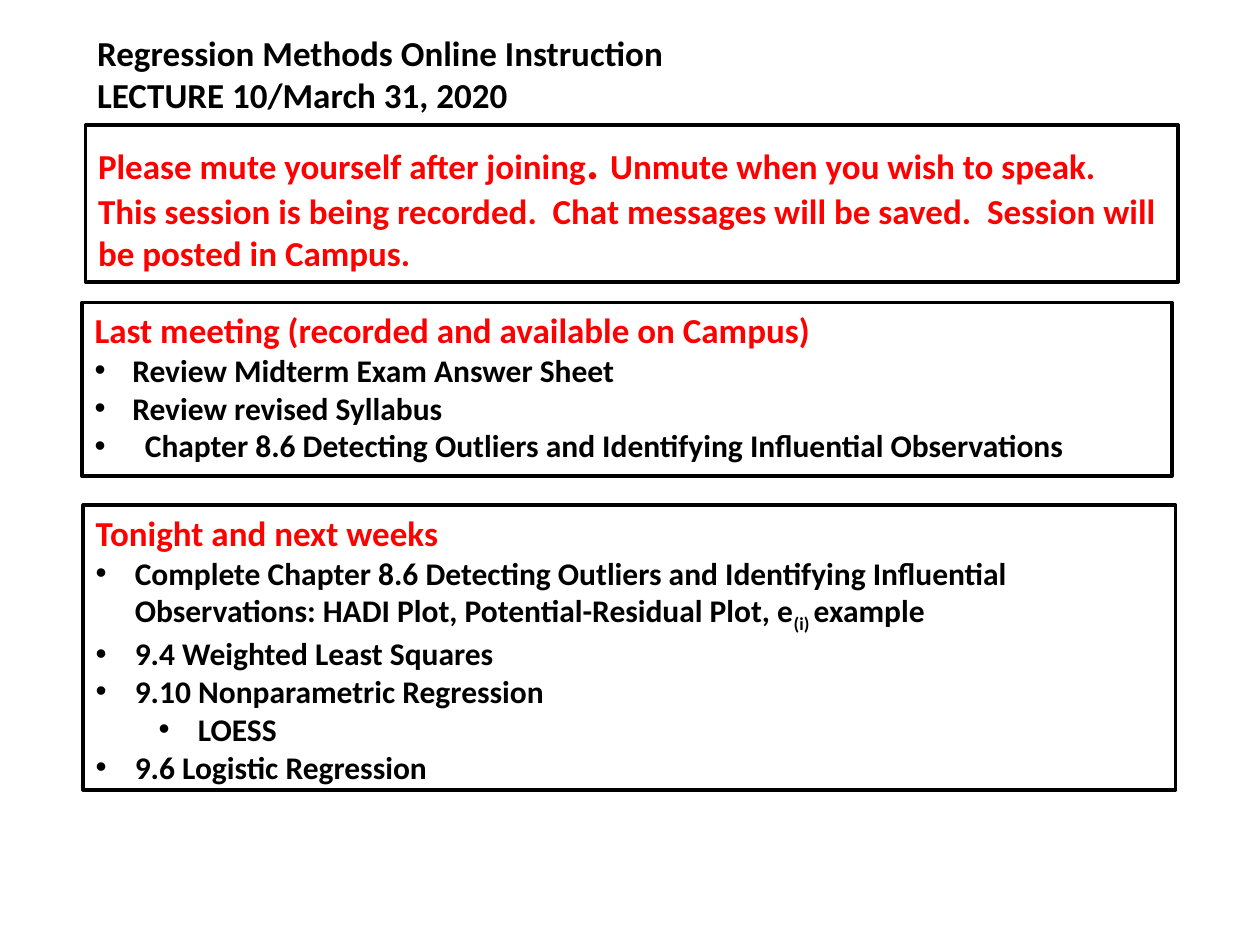
from lxml.etree import SubElement
from pptx import Presentation
from pptx.dml.color import RGBColor
from pptx.enum.shapes import MSO_SHAPE as Shape
from pptx.enum.text import MSO_ANCHOR as Anchor, MSO_AUTO_SIZE as Fit, PP_ALIGN as Align
from pptx.oxml.ns import qn
from pptx.util import Inches, Pt

BLACK, RED, WHITE = "000000", "FF0000", "FFFFFF"


def rgb(code):
    return RGBColor.from_string(code)


def place(shape, box):
    shape.left, shape.top, shape.width, shape.height = map(Inches, box)
    frame = shape.text_frame
    frame.word_wrap = True
    frame.auto_size = Fit.NONE
    frame.vertical_anchor = Anchor.TOP
    return frame


def outline(shape):
    shape.fill.solid()
    shape.fill.fore_color.rgb = rgb(WHITE)
    shape.line.color.rgb = rgb(BLACK)
    shape.line.width = Pt(2)


def bullet(para, indent, hang):
    """Set a hanging bullet, or none when hang is 0."""
    props = para._p.get_or_add_pPr()
    props.set("marL", str(Inches(indent)))
    props.set("indent", str(-Inches(hang)))
    if hang:
        SubElement(props, qn("a:buFont"), typeface="Arial")
        SubElement(props, qn("a:buChar"), char="•")
    else:
        SubElement(props, qn("a:buNone"))


def style(para, size, color):
    para.alignment = Align.LEFT
    para.space_before = Pt(0)
    font = para.font
    font.name, font.size, font.bold = "Calibri", Pt(size), True
    font.color.rgb = rgb(color)


def lines(frame, count):
    """Return the frame's paragraphs, extended to count."""
    for _ in range(count - 1):
        frame.add_paragraph()
    return frame.paragraphs


def heading(shape, box, texts):
    frame = place(shape, box)
    for para, text in zip(lines(frame, len(texts)), texts):
        style(para, 20, BLACK)
        para.add_run().text = text


def notice(slide, box):
    shape = slide.shapes.add_shape(Shape.RECTANGLE, *map(Inches, box))
    shape.shadow.inherit = False
    outline(shape)
    first, last = lines(place(shape, box), 2)
    for para in (first, last):
        style(para, 20, RED)
    for text in ("Please mute yourself after joining", ". ",
                 "Unmute when you wish to speak."):
        run = first.add_run()
        run.text = text
        if text == ". ":
            run.font.size = Pt(28)
    last.add_run().text = ("This session is being recorded.  Chat messages will be saved.  "
                           "Session will be posted in Campus.")


def agenda(shape, box, title, items):
    """Fill a box with a red title and bullets of (indent, hang, level, parts)."""
    outline(shape)
    top, *rest = lines(place(shape, box), len(items) + 1)
    bullet(top, 0, 0)
    style(top, 20, RED)
    top.add_run().text = title
    for para, (indent, hang, level, parts) in zip(rest, items):
        para.level = level
        bullet(para, indent, hang)
        style(para, 18, BLACK)
        for text in parts:
            run = para.add_run()
            run.text = text
            if text == "(i) ":
                run._r.get_or_add_rPr().set("baseline", "-25000")


def main():
    deck = Presentation()
    deck.slide_width, deck.slide_height = Inches(10), Inches(7.5)
    slide = deck.slides.add_slide(deck.slide_layouts[3])
    title, past, coming = list(slide.placeholders)[:3]
    heading(title, (0.67, 0.2, 8, 0.77),
            ["Regression Methods Online Instruction", "LECTURE 10/March 31, 2020"])
    agenda(past, (0.65, 2.4, 8.65, 1.38),
           "Last meeting (recorded and available on Campus)", [
               (0.3, 0.3, 1, ["Review Midterm Exam Answer Sheet"]),
               (0.3, 0.3, 1, ["Review revised Syllabus"]),
               (0.4, 0.4, 1, ["Chapter 8.6 Detecting Outliers and Identifying "
                              "Influential Observations"]),
           ])
    main_item, sub_item = (0.31, 0.31, 0), (0.81, 0.31, 1)
    agenda(coming, (0.66, 4.01, 8.67, 2.26), "Tonight and next weeks", [
        (*main_item, ["Complete Chapter 8.6 Detecting Outliers and Identifying Influential "
                      "Observations: HADI Plot, Potential-Residual Plot, e",
                      "(i) ", "example"]),
        (*main_item, ["9.4 Weighted Least Squares"]),
        (*main_item, ["9.10 Nonparametric Regression"]),
        (*sub_item, ["LOESS"]),
        (*main_item, ["9.6 Logistic Regression"]),
    ])
    notice(slide, (0.68, 0.99, 8.67, 1.25))
    deck.save("out.pptx")


if __name__ == "__main__":
    main()
